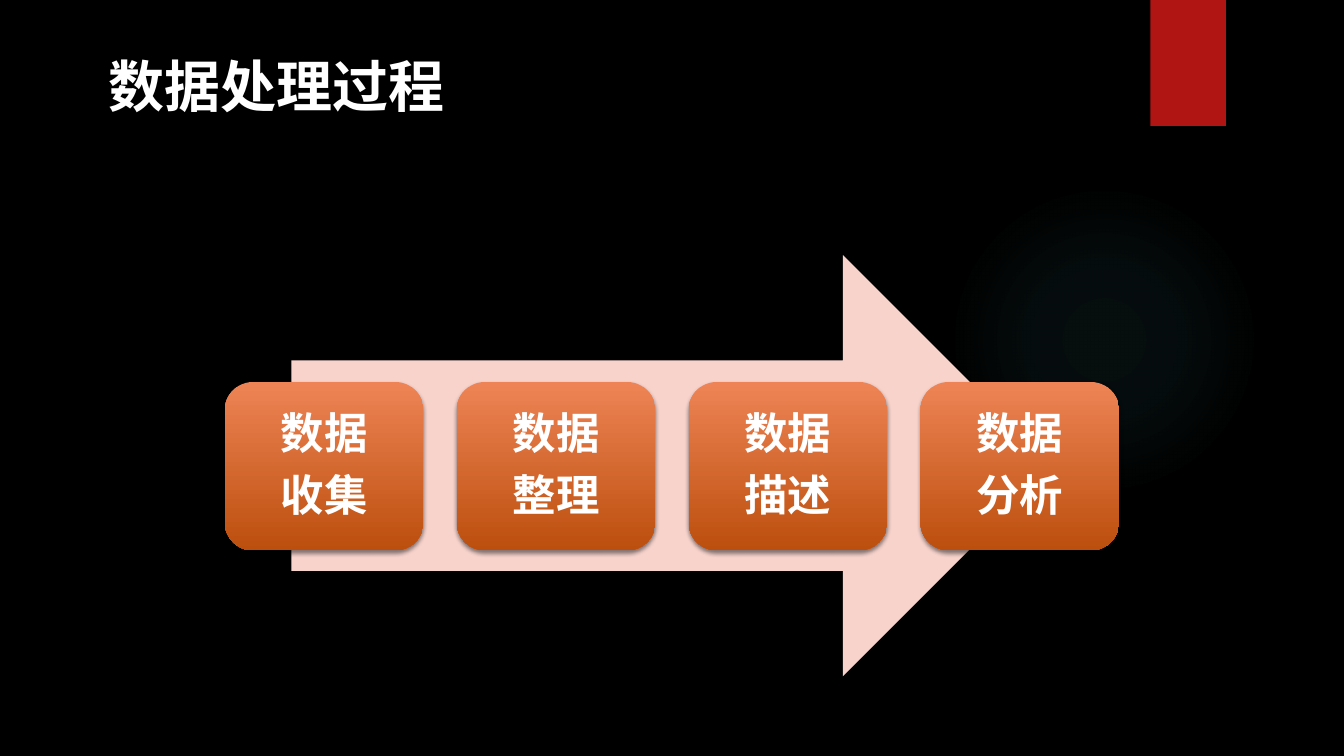
from lxml.etree import SubElement
from pptx import Presentation
from pptx.dml.color import RGBColor
from pptx.enum.shapes import MSO_SHAPE as Preset
from pptx.enum.text import MSO_ANCHOR as Anchor, MSO_AUTO_SIZE as AutoSize, PP_ALIGN as Align
from pptx.oxml import parse_xml
from pptx.oxml.ns import nsdecls, qn
from pptx.util import Inches, Pt

COLORS = {
    "background": "000000",
    "glow": "50B9C1",
    "ribbon": "B01513",
    "arrow": "F7D3CC",
    "card_top": "EE8455",
    "card_bottom": "BC4F0E",
    "text": "FFFFFF",
    "shadow": "000000",
}
TITLE_FONT = "Noto Sans CJK JP"
CARD_FONT = "Noto Sans CJK SC"
STEPS = ["收集", "整理", "描述", "分析"]
CARD_LEFT, CARD_PITCH = 2.23, 2.3


class SlideBuilder:
    def __init__(self, presentation):
        self.slide = presentation.slides.add_slide(presentation.slide_layouts[6])
        fill = self.slide.background.fill
        fill.solid()
        fill.fore_color.rgb = self.color("background")

    def color(self, name):
        return RGBColor.from_string(COLORS[name])

    def shape(self, preset, left, top, width, height, fill=None):
        shape = self.slide.shapes.add_shape(
            preset, Inches(left), Inches(top), Inches(width), Inches(height))
        shape.shadow.inherit = False
        shape.line.fill.background()
        if fill:
            shape.fill.solid()
            shape.fill.fore_color.rgb = self.color(fill)
        return shape

    def add_shadow(self, shape):
        effects = shape._element.spPr.find(qn("a:effectLst"))
        effects.append(parse_xml(
            f'<a:outerShdw {nsdecls("a")} blurRad="{Pt(3)}" dist="{Pt(2)}" dir="5400000" '
            f'rotWithShape="0"><a:srgbClr val="{COLORS["shadow"]}">'
            '<a:alpha val="45000"/></a:srgbClr></a:outerShdw>'))

    def glow(self, left, top, size, stops):
        shape = self.shape(Preset.OVAL, left, top, size, size)
        stop_xml = "".join(
            f'<a:gs pos="{position * 1000}"><a:srgbClr val="{COLORS["glow"]}">'
            f'<a:alpha val="{alpha * 1000}"/></a:srgbClr></a:gs>'
            for position, alpha in stops)
        gradient = parse_xml(
            f'<a:gradFill {nsdecls("a")} rotWithShape="1"><a:gsLst>{stop_xml}</a:gsLst>'
            '<a:path path="circle"><a:fillToRect l="50000" t="50000" r="50000" b="50000"/>'
            '</a:path></a:gradFill>')
        shape._element.spPr.find(qn("a:prstGeom")).addnext(gradient)

    def block(self, preset, left, top, width, height, fill):
        self.add_shadow(self.shape(preset, left, top, width, height, fill))

    def style(self, paragraph, font_name, size):
        paragraph.alignment = Align.CENTER
        font = paragraph.font
        font.size = Pt(size)
        font.bold = True
        font.color.rgb = self.color("text")
        font.name = font_name
        properties = paragraph._p.pPr.find(qn("a:defRPr"))
        SubElement(properties, qn("a:ea")).set("typeface", font_name)

    def card(self, left, top, width, height, lines):
        shape = self.shape(Preset.ROUNDED_RECTANGLE, left, top, width, height)
        self.add_shadow(shape)
        shape.fill.gradient()
        shape.fill.gradient_angle = 270
        for stop, name in zip(shape.fill.gradient_stops, ("card_top", "card_bottom")):
            stop.color.rgb = self.color(name)
        frame = shape.text_frame
        frame.word_wrap = True
        frame.vertical_anchor = Anchor.MIDDLE
        frame.margin_left = frame.margin_right = Inches(0.13)
        frame.margin_top = frame.margin_bottom = Inches(0.13)
        frame.text = "\n".join(lines)
        for paragraph in frame.paragraphs:
            paragraph.line_spacing = 0.9
            spacing = SubElement(paragraph._p.pPr, qn("a:spcAft"))
            SubElement(spacing, qn("a:spcPct")).set("val", "35000")
            self.style(paragraph, CARD_FONT, 31)

    def title(self, left, top, width, height, text):
        box = self.slide.shapes.add_textbox(
            Inches(left), Inches(top), Inches(width), Inches(height))
        frame = box.text_frame
        frame.word_wrap = False
        frame.auto_size = AutoSize.SHAPE_TO_FIT_TEXT
        frame.text = text
        self.style(frame.paragraphs[0], TITLE_FONT, 40)


def main():
    presentation = Presentation()
    presentation.slide_width = Inches(13.33)
    presentation.slide_height = Inches(7.5)
    builder = SlideBuilder(presentation)
    builder.glow(9.41, 1.83, 3.08, [(0, 7), (36, 6), (69, 0)])
    builder.block(Preset.RECTANGLE, 11.41, 0, 0.75, 1.25, "ribbon")
    builder.block(Preset.RIGHT_ARROW, 2.89, 2.53, 7.56, 4.18, "arrow")
    for index, step in enumerate(STEPS):
        builder.card(CARD_LEFT + index * CARD_PITCH, 3.79, 1.97, 1.67, ["数据", step])
    builder.title(0.96, 0.46, 3.57, 0.77, "数据处理过程")
    presentation.save("out.pptx")


if __name__ == "__main__":
    main()
